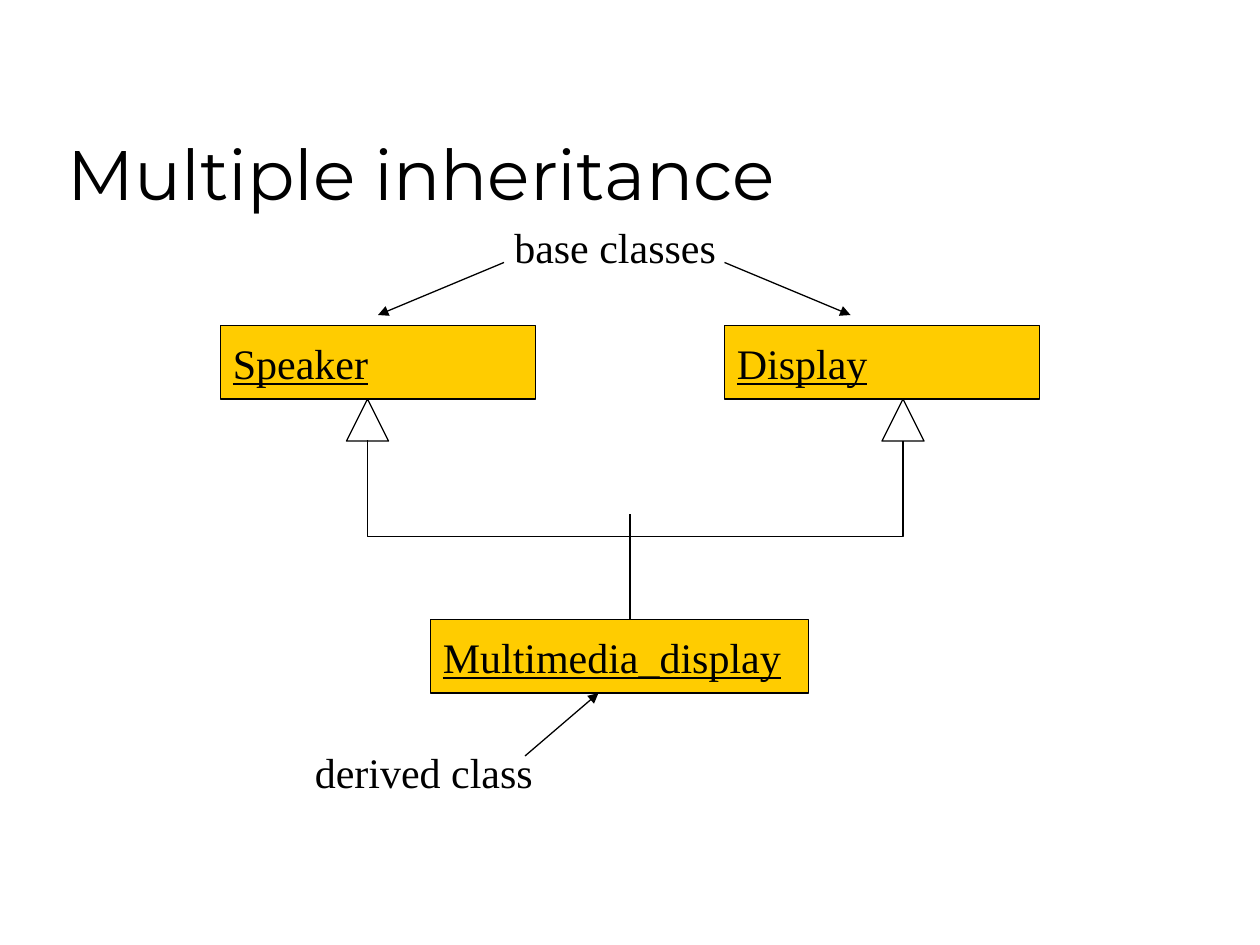
from lxml import etree
from pptx import Presentation
from pptx.dml.color import RGBColor
from pptx.enum.shapes import MSO_CONNECTOR, MSO_SHAPE
from pptx.enum.text import MSO_ANCHOR, MSO_AUTO_SIZE, PP_ALIGN
from pptx.oxml.ns import qn
from pptx.util import Inches, Pt

STRAIGHT, ELBOW = MSO_CONNECTOR.STRAIGHT, MSO_CONNECTOR.ELBOW
RECTANGLE, TRIANGLE = MSO_SHAPE.RECTANGLE, MSO_SHAPE.ISOSCELES_TRIANGLE
TOP, MIDDLE, BOTTOM = MSO_ANCHOR.TOP, MSO_ANCHOR.MIDDLE, MSO_ANCHOR.BOTTOM
LEFT = PP_ALIGN.LEFT
NO_FIT, GROW = MSO_AUTO_SIZE.NONE, MSO_AUTO_SIZE.SHAPE_TO_FIT_TEXT

CELL = Inches(1) // 12  # the diagram lies on a grid of twelfths of an inch
BLACK, WHITE, AMBER = "000000", "FFFFFF", "FFCC00"
CLASS_HEIGHT = 7
HEAD_SIZE = 4


def grid(*cells):
    return [round(cell * CELL) for cell in cells]


def color(hex_code):
    return RGBColor.from_string(hex_code)


def write(shape, text, font="Times New Roman", size=24, underline=None,
          anchor=TOP, wrap=False, fit=NO_FIT):
    frame = shape.text_frame
    frame.word_wrap = wrap
    frame.auto_size = fit
    frame.vertical_anchor = anchor
    paragraph = frame.paragraphs[0]
    paragraph.alignment = LEFT
    run = paragraph.add_run()
    run.text = text
    run.font.name = font
    run.font.size = Pt(size)
    run.font.underline = underline
    run.font.color.rgb = color(BLACK)


def outline(shape):
    shape.line.color.rgb = color(BLACK)
    shape.line.width = Pt(0.75)


def add_box(shapes, kind, cells, fill):
    box = shapes.add_shape(kind, *grid(*cells))
    box.shadow.inherit = False
    box.fill.solid()
    box.fill.fore_color.rgb = color(fill)
    outline(box)
    return box


def add_class(shapes, name, column, row, width):
    box = add_box(shapes, RECTANGLE, (column, row, width, CLASS_HEIGHT), AMBER)
    write(box, name, underline=True, anchor=MIDDLE)


def add_label(shapes, text, column, row, width):
    label = shapes.add_textbox(*grid(column, row, width, 6))
    write(label, text, fit=GROW)


def add_line(shapes, start, end, kind=STRAIGHT, arrow=False):
    line = shapes.add_connector(kind, *grid(*start, *end))
    outline(line)
    properties = line._element.spPr
    if arrow:
        etree.SubElement(properties.find(qn("a:ln")), qn("a:tailEnd"), type="triangle")
    etree.SubElement(properties, qn("a:effectLst"))
    return line


def add_bracket(shapes, left, right, row, depth):
    """Join two points of one row by an elbow line that dips below them."""
    span, thickness = right - left, 0.1
    center = (left + right) / 2
    bracket = add_line(shapes, (center - thickness / 2, row - span / 2),
                       (center + thickness / 2, row + span / 2), kind=ELBOW)
    bracket.rotation = 270
    properties = bracket._element.spPr
    properties.find(qn("a:xfrm")).set("flipH", "1")
    adjustments = properties.find(qn("a:prstGeom")).get_or_add_avLst()
    bend = round((depth / thickness + 0.5) * 100000)
    etree.SubElement(adjustments, qn("a:gd"), name="adj1", fmla=f"val {bend}")


def main():
    deck = Presentation()
    deck.slide_width, deck.slide_height = Inches(10), Inches(7.5)
    slide = deck.slides.add_slide(deck.slide_layouts[5])
    shapes = slide.shapes

    title = shapes.title
    title.left, title.top, title.width, title.height = grid(5.25, 3, 102, 18)
    write(title, "Multiple inheritance", font="Montserrat", size=40,
          anchor=BOTTOM, wrap=True)

    base_row, derived_row = 31, 59
    head_row = base_row + CLASS_HEIGHT
    head_centers = (35, 86)
    add_class(shapes, "Speaker", 21, base_row, 30)
    add_class(shapes, "Display", 69, base_row, 30)
    add_class(shapes, "Multimedia_display", 41, derived_row, 36)

    for center in head_centers:
        head = (center - HEAD_SIZE / 2, head_row, HEAD_SIZE, HEAD_SIZE)
        add_box(shapes, TRIANGLE, head, WHITE)
    add_bracket(shapes, *head_centers, row=head_row + HEAD_SIZE, depth=9.15)
    add_line(shapes, (60, 49), (60, derived_row))

    base_note = shapes.add_group_shape().shapes
    add_label(base_note, "base classes", 47.8, 20.5, 21.6)
    for start, end in ((48, 36), (69, 81)):
        add_line(base_note, (start, 25), (end, 30), arrow=True)

    derived_note = shapes.add_group_shape().shapes
    add_label(derived_note, "derived class", 28.8, 70.5, 23.2)
    add_line(derived_note, (50, 72), (57, derived_row + CLASS_HEIGHT), arrow=True)

    deck.save("out.pptx")


if __name__ == "__main__":
    main()
